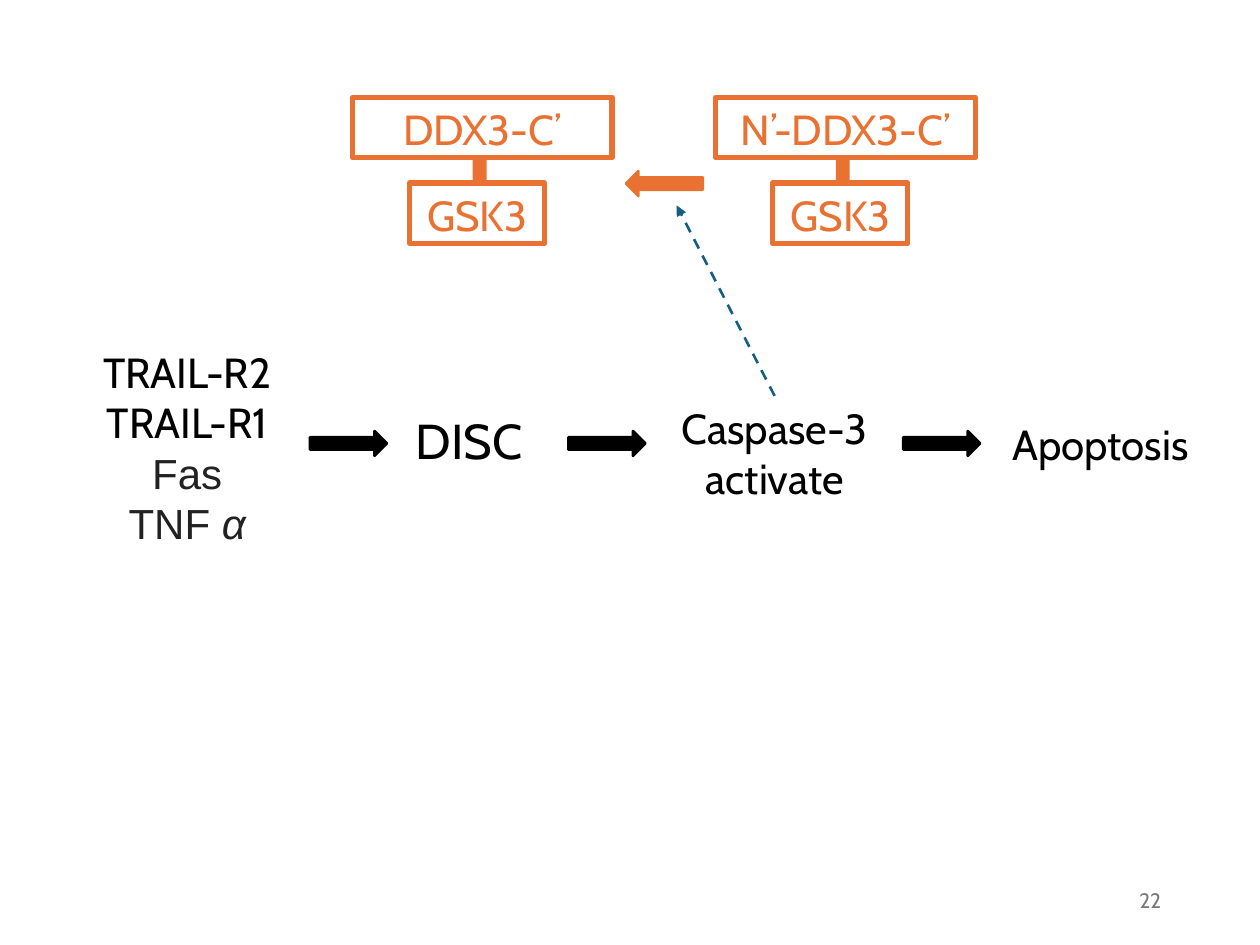
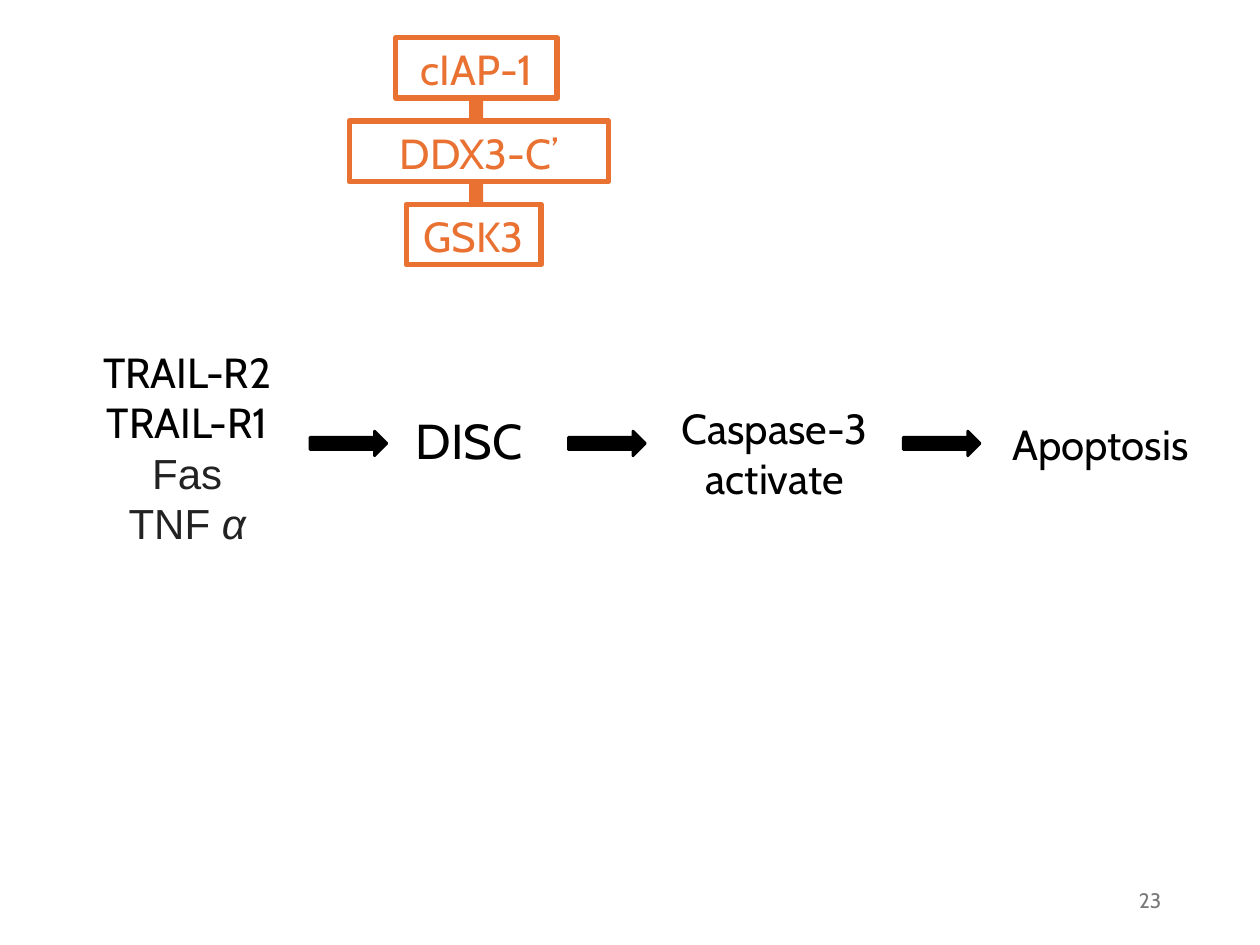
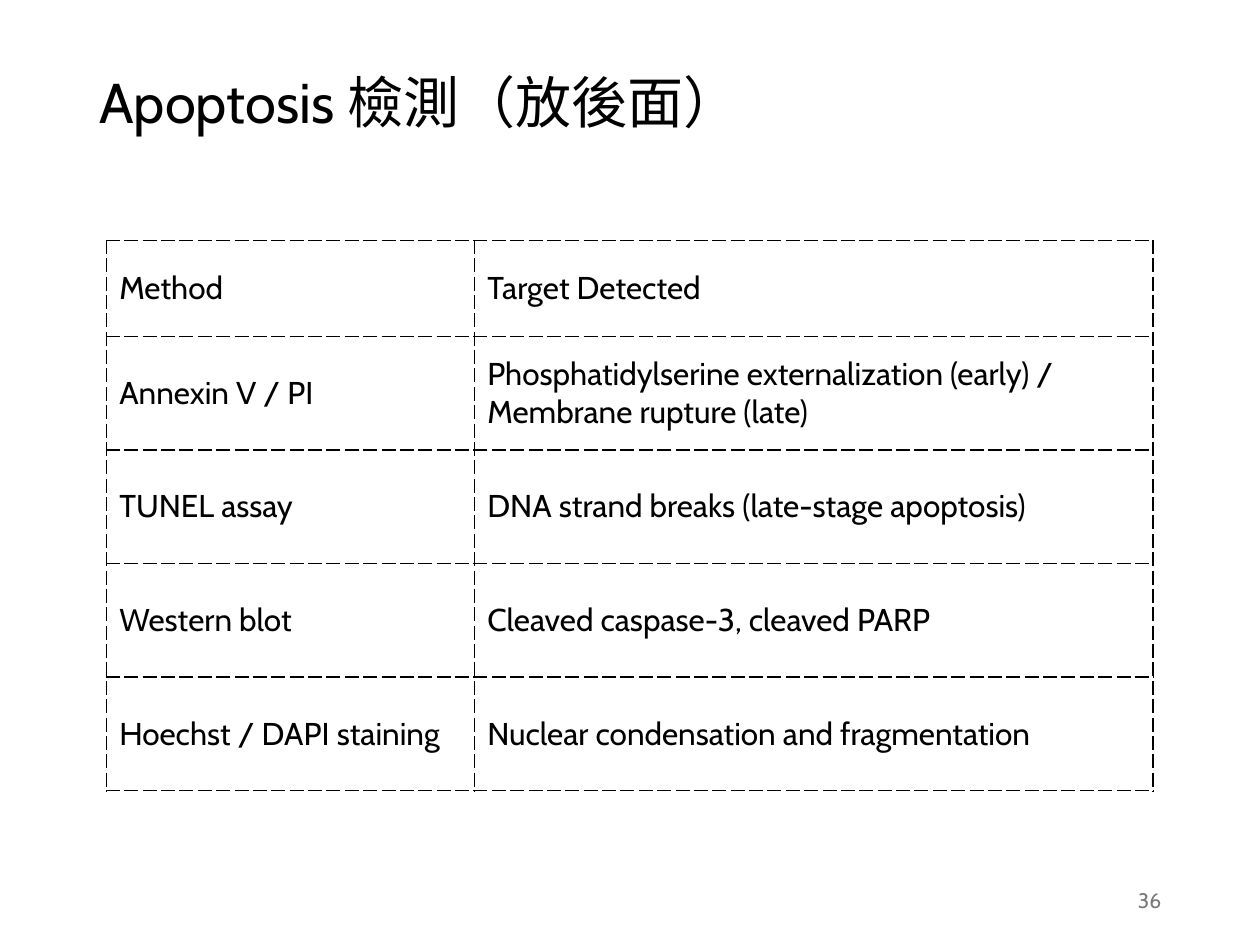
from lxml import etree
from pptx import Presentation
from pptx.dml.color import RGBColor
from pptx.enum import dml, shapes, text
from pptx.oxml.ns import qn
from pptx.util import Cm, Pt

FONT = "Cabin"
BLACK = RGBColor(0x00, 0x00, 0x00)
WHITE = RGBColor(0xFF, 0xFF, 0xFF)
DARK = RGBColor(0x22, 0x22, 0x22)
GREY = RGBColor(0x79, 0x79, 0x79)
ORANGE = RGBColor(0xE9, 0x71, 0x32)
TEAL = RGBColor(0x15, 0x60, 0x82)

TITLE_ONLY, BLANK = 5, 6
LEFT, CENTER, RIGHT = text.PP_ALIGN.LEFT, text.PP_ALIGN.CENTER, text.PP_ALIGN.RIGHT
TOP, MIDDLE = text.MSO_ANCHOR.TOP, text.MSO_ANCHOR.MIDDLE

# Protein boxes: label, offset from the left of the DDX3 box, width (cm)
DDX3_C = ("DDX3-C’", 0, 5.23)
N_DDX3_C = ("N’-DDX3-C’", 0, 5.23)
GSK3 = ("GSK3", 1.15, 2.72)
CIAP1 = ("cIAP-1", 0.94, 3.25)
BOX_HEIGHT = 1.22
BAR_OFFSET, BAR_WIDTH = 2.42, 0.28

METHODS = [
    ("Method", "Target Detected"),
    ("Annexin V / PI", "Phosphatidylserine externalization (early) / Membrane rupture (late)"),
    ("TUNEL assay", "DNA strand breaks (late-stage apoptosis)"),
    ("Western blot", "Cleaved caspase-3, cleaved PARP"),
    ("Hoechst / DAPI staining", "Nuclear condensation and fragmentation"),
]


def add_run(p, content, size, color=BLACK, font=FONT, italic=None):
    r = p.add_run()
    r.text = content
    r.font.size, r.font.name, r.font.italic = Pt(size), font, italic
    r.font.color.rgb = color


def add_text(slide, box, content, size, color=BLACK, align=CENTER, anchor=TOP):
    sp = slide.shapes.add_textbox(*map(Cm, box))
    tf = sp.text_frame
    tf.word_wrap, tf.vertical_anchor = True, anchor
    p = tf.paragraphs[0]
    p.alignment = align
    add_run(p, content, size, color)
    return sp


def add_solid(parent, kind, box, fill, line=None, width=1.5):
    sp = parent.shapes.add_shape(kind, *map(Cm, box))
    sp.shadow.inherit = False
    sp.fill.solid()
    sp.fill.fore_color.rgb = fill
    if line is None:
        sp.line.fill.background()
    else:
        sp.line.color.rgb, sp.line.width = line, Pt(width)
    return sp


def add_block_arrow(slide, left, top, color=BLACK, rotation=0):
    sp = add_solid(slide, shapes.MSO_SHAPE.RIGHT_ARROW, (left, top, 1.55, 0.5), color, color)
    sp.rotation = rotation


def add_complex(slide, left, top, pitch, proteins):
    """Stack protein boxes from the top down, with a bar in each gap."""
    group = slide.shapes.add_group_shape()
    for i, (label, offset, width) in enumerate(proteins):
        y = top + i * pitch
        sp = add_solid(group, shapes.MSO_SHAPE.RECTANGLE,
                       (left + offset, y, width, BOX_HEIGHT), WHITE, ORANGE, 3)
        tf = sp.text_frame
        tf.vertical_anchor = TOP
        tf.paragraphs[0].alignment = CENTER
        add_run(tf.paragraphs[0], label, 24, ORANGE)
        if i:
            gap = pitch - BOX_HEIGHT
            add_solid(group, shapes.MSO_SHAPE.RECTANGLE,
                      (left + BAR_OFFSET, y - gap, BAR_WIDTH, gap), ORANGE)


def add_receptors(slide):
    sp = add_text(slide, (1.2, 6.86, 5.15, 4.42), "TRAIL-R2", 24)
    tf = sp.text_frame
    for content, color, font in (("TRAIL-R1", BLACK, FONT), ("Fas", DARK, "Arial"),
                                 ("TNF\u00a0", DARK, "Arial")):
        p = tf.add_paragraph()
        p.alignment = CENTER
        add_run(p, content, 24, color, font)
    add_run(p, "α", 24, DARK, "Arial", italic=True)


def add_pathway(slide):
    """Draw the row from receptors to apoptosis; return the caspase box."""
    add_text(slide, (18.97, 8.31, 6.43, 1.55), "Apoptosis", 24)
    caspase = add_text(slide, (12.4, 7.98, 6.43, 1.55), "Caspase-3 activate", 24)
    add_receptors(slide)
    add_text(slide, (5.92, 8.15, 7.29, 1.55), "DISC ", 28)
    for left in (6.25, 11.46, 18.21):
        add_block_arrow(slide, left, 8.69)
    return caspase


def add_dashed_arrow(slide, source, end_x, end_y):
    cn = slide.shapes.add_connector(shapes.MSO_CONNECTOR.STRAIGHT, 0, 0, Cm(end_x), Cm(end_y))
    cn.begin_connect(source, 0)
    cn.line.color.rgb, cn.line.width = TEAL, Pt(1.5)
    cn.line.dash_style = dml.MSO_LINE.DASH
    etree.SubElement(cn.line._get_or_add_ln(), qn("a:tailEnd"), type="triangle")
    etree.SubElement(cn._element.spPr, qn("a:effectLst"))


def add_page_number(slide, number):
    add_text(slide, (17.94, 17.65, 5.72, 1.01), str(number), 12, GREY, RIGHT, MIDDLE)


def set_title(slide, content):
    sp = slide.shapes.title
    sp.left, sp.top, sp.width, sp.height = map(Cm, (1.75, 1.19, 21.9, 1.88))
    tf = sp.text_frame
    tf.auto_size = text.MSO_AUTO_SIZE.NONE
    tf.vertical_anchor = MIDDLE
    p = tf.paragraphs[0]
    p.alignment, p.line_spacing = LEFT, 0.9
    add_run(p, content, 32)


def add_cell_borders(cell):
    tc_pr = cell._tc.get_or_add_tcPr()
    for i, side in enumerate(("a:lnL", "a:lnR", "a:lnT", "a:lnB")):
        ln = etree.Element(qn(side), w=str(Pt(1)))
        fill = etree.SubElement(ln, qn("a:solidFill"))
        etree.SubElement(fill, qn("a:srgbClr"), val=str(BLACK))
        etree.SubElement(ln, qn("a:prstDash"), val="sysDash")
        tc_pr.insert(i, ln)


def add_method_table(slide):
    widths, heights = (7.42, 13.67), (1.93, 2.29, 2.29, 2.29, 2.29)
    frame = slide.shapes.add_table(len(heights), len(widths), Cm(2.15), Cm(4.85),
                                   Cm(sum(widths)), Cm(sum(heights)))
    table = frame.table
    table.first_row = table.horz_banding = False
    for column, width in zip(table.columns, widths):
        column.width = Cm(width)
    for row, height, contents in zip(table.rows, heights, METHODS):
        row.height = Cm(height)
        for cell, content in zip(row.cells, contents):
            cell.fill.background()
            cell.vertical_anchor = MIDDLE
            add_run(cell.text_frame.paragraphs[0], content, 18)
            add_cell_borders(cell)


def main():
    prs = Presentation()
    prs.slide_width, prs.slide_height = Cm(25.4), Cm(19.05)

    s = prs.slides.add_slide(prs.slide_layouts[BLANK])
    add_page_number(s, 22)
    caspase = add_pathway(s)
    add_complex(s, 14.43, 1.96, 1.73, [N_DDX3_C, GSK3])
    add_complex(s, 7.11, 1.96, 1.73, [DDX3_C, GSK3])
    add_block_arrow(s, 12.62, 3.45, ORANGE, 180)
    add_dashed_arrow(s, caspase, 13.64, 4.14)

    s = prs.slides.add_slide(prs.slide_layouts[BLANK])
    add_page_number(s, 23)
    add_pathway(s)
    add_complex(s, 7.04, 0.76, 1.68, [CIAP1, DDX3_C, GSK3])

    s = prs.slides.add_slide(prs.slide_layouts[TITLE_ONLY])
    set_title(s, "Apoptosis 檢測（放後面）")
    add_page_number(s, 36)
    add_method_table(s)

    prs.save("out.pptx")


if __name__ == "__main__":
    main()
